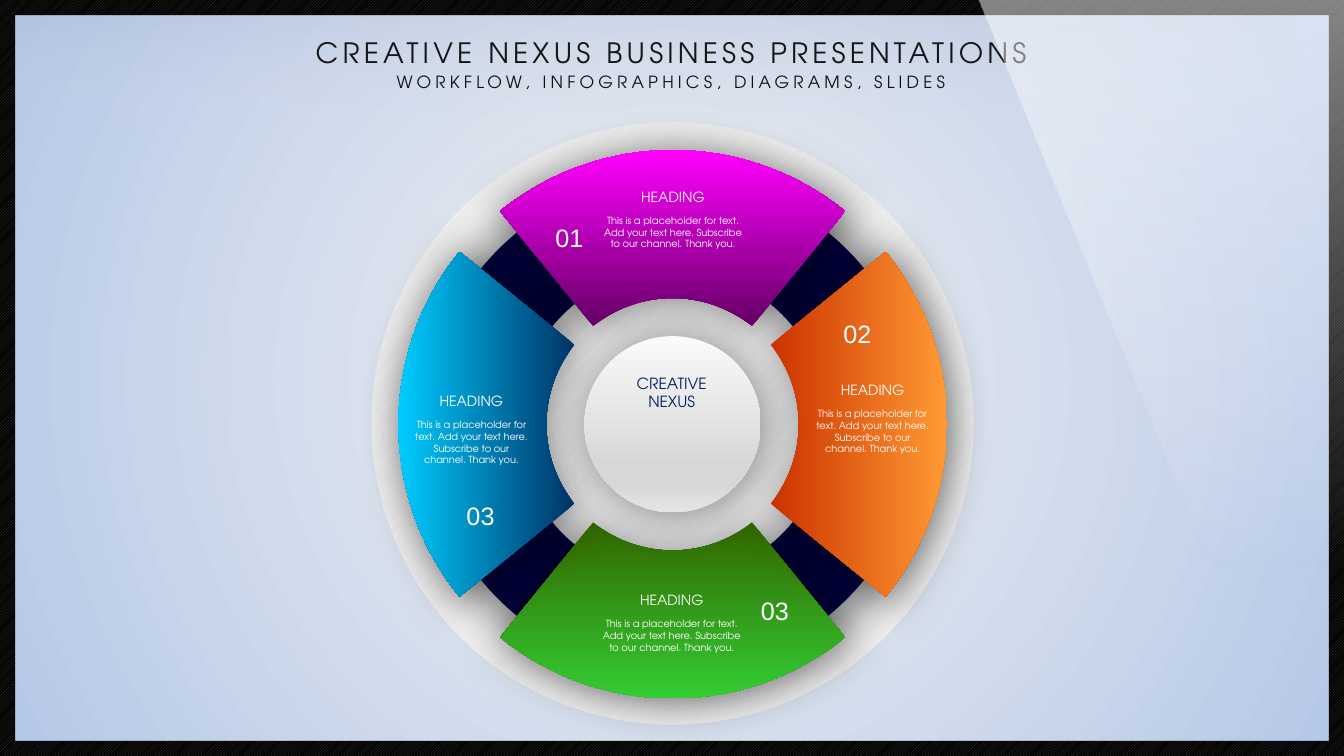
import math
from dataclasses import dataclass

from lxml import etree
from pptx import Presentation
from pptx import util as u
from pptx.dml.color import RGBColor
from pptx.enum import dml, shapes, text

NS = {"a": "http://schemas.openxmlformats.org/drawingml/2006/main"}


@dataclass(frozen=True)
class Theme:
    display: str = "TeX Gyre Adventor"
    numeral: str = "Arial"
    ink: str = "000000"
    white: str = "FFFFFF"
    hub_text: str = "002060"
    band: str = "00003A"
    disc: tuple = ("D9D9D9", "F2F2F2")
    frame: tuple = ("404040", "000000")
    backdrop: tuple = ((0, "F2F2F2", 100), (100, "B4C7E7", 100))
    hub: tuple = ((0, "FAFAFA", 100), (74, "D7D7D7", 100),
                  (83, "D7D7D7", 100), (100, "E4E4E4", 100))
    shade: tuple = ((0, "F2F2F2", 0), (100, "002060", 50))
    glass: tuple = ((0, "FFFFFF", 50), (76, "FFFFFF", 0))
    title_size: int = 20
    subtitle_size: int = 12
    number_size: int = 18
    hub_size: int = 11
    heading_size: int = 10
    body_size: int = 7


@dataclass(frozen=True)
class Box:
    left: float
    top: float
    width: float
    height: float

    def lengths(self):
        return [u.Cm(v) for v in (self.left, self.top, self.width, self.height)]

    def centre(self):
        return self.left + self.width / 2, self.top + self.height / 2


THEME = Theme()
BODY = "This is a placeholder for text. Add your text here. Subscribe to our channel. Thank you."
HALF_ANGLE = 39
DISC_RADIUS, WEDGE_RADIUS, BAND_RADIUS = 7.59, 6.91, 6.22
HOLE_RADIUS, HUB_RADIUS = 3.18, 2.22

# Direction, inner and outer colour, number and its offset, caption offset, caption width
WEDGES = [
    (270, "660066", "FF00FF", "01", (-2.6, -5.2), (0.01, -6.07), 4.19),
    (90, "336600", "33CC33", "03", (2.58, 4.18), (-0.02, 4.1), 4.19),
    (0, "CC3300", "FF9933", "02", (4.66, -2.79), (5.04, -1.2), 3.43),
    (180, "003366", "00CCFF", "03", (-4.84, 1.79), (-5.07, -0.92), 3.43),
]


# Drawing helpers
def gradient(fill, element, stops, angle=None):
    """Replace a solid fill with a linear gradient, or a round one without an angle."""
    fill.solid()
    solid = element.find(".//a:solidFill", NS)
    marks = "".join(
        f'<a:gs pos="{pos * 1000}"><a:srgbClr val="{colour}">'
        f'<a:alpha val="{alpha * 1000}"/></a:srgbClr></a:gs>'
        for pos, colour, alpha in stops)
    if angle is None:
        way = ('<a:path path="circle"><a:fillToRect l="50000" t="50000" '
               'r="50000" b="50000"/></a:path>')
    else:
        way = f'<a:lin ang="{angle * 60000}" scaled="0"/>'
    solid.getparent().replace(solid, etree.fromstring(
        f'<a:gradFill xmlns:a="{NS["a"]}" rotWithShape="1">'
        f'<a:gsLst>{marks}</a:gsLst>{way}</a:gradFill>'))


def pattern(shape, kind, colours):
    shape.fill.patterned()
    shape.fill.pattern = kind
    shape.fill.fore_color.rgb, shape.fill.back_color.rgb = map(RGBColor.from_string, colours)


def plain(shape):
    shape.shadow.inherit = False
    shape.line.fill.background()
    return shape


def cast_shadow(shape):
    effects = shape.element.spPr.find("a:effectLst", NS)
    effects.append(etree.fromstring(
        f'<a:outerShdw xmlns:a="{NS["a"]}" blurRad="{u.Pt(30)}" dist="{u.Pt(3)}" '
        f'dir="{45 * 60000}" sx="104000" sy="104000" algn="ctr" rotWithShape="0">'
        '<a:srgbClr val="000000"><a:alpha val="40000"/></a:srgbClr></a:outerShdw>'))


def outline(parent, points):
    corners = [(u.Cm(x), u.Cm(y)) for x, y in points]
    builder = parent.build_freeform(*corners[0], scale=1.0)
    builder.add_line_segments(corners[1:], close=True)
    return plain(builder.convert_to_shape())


def circle(parent, kind, centre, radius):
    box = Box(centre[0] - radius, centre[1] - radius, 2 * radius, 2 * radius)
    return plain(parent.add_shape(kind, *box.lengths()))


def label(parent, box, lines, size, colour, font=THEME.display, spacing=0):
    holder = parent.add_textbox(*box.lengths())
    frame = holder.text_frame
    frame.word_wrap = True
    frame.auto_size = text.MSO_AUTO_SIZE.SHAPE_TO_FIT_TEXT
    for index, line in enumerate(lines):
        para = frame.add_paragraph() if index else frame.paragraphs[0]
        para.alignment = text.PP_ALIGN.CENTER
        span = para.add_run()
        span.text = line
        span.font.size = u.Pt(size)
        span.font.name = font
        span.font.color.rgb = RGBColor.from_string(colour)
        if spacing:
            span.font._element.set("spc", str(spacing * 100))


# Regions
def add_wedge(parent, centre, direction, inner, outer):
    first, last = direction - HALF_ANGLE, direction + HALF_ANGLE
    nodes = [(WEDGE_RADIUS, a) for a in (first, direction, last)]
    nodes += [(HOLE_RADIUS, a) for a in (last, direction, first)]

    def place(radius, angle, pull=0):
        """Point on an arc, moved along its tangent by pull times the radius."""
        turn = math.radians(angle)
        return (centre[0] + radius * (math.cos(turn) - pull * math.sin(turn)),
                centre[1] + radius * (math.sin(turn) + pull * math.cos(turn)))

    wedge = outline(parent, [place(*node) for node in nodes])

    # Bend the edges that keep their radius into arcs
    edges = wedge.element.findall(".//a:lnTo", NS)
    for edge, start, end in zip(edges, nodes, nodes[1:]):
        if start[0] != end[0]:
            continue
        pull = 4 / 3 * math.tan(math.radians(end[1] - start[1]) / 4)
        curve = etree.Element(f'{{{NS["a"]}}}cubicBezTo')
        for x, y in (place(*start, pull), place(*end, -pull), place(*end)):
            etree.SubElement(curve, f'{{{NS["a"]}}}pt', x=str(u.Cm(x) - wedge.left),
                             y=str(u.Cm(y) - wedge.top))
        edge.getparent().replace(edge, curve)
    gradient(wedge.fill, wedge.element, [(0, inner, 100), (100, outer, 100)], direction)
    cast_shadow(wedge)


def add_wheel(page, box):
    wheel = page.shapes.add_group_shape().shapes
    centre = box.centre()
    x, y = centre

    # Disc and dark band
    disc = circle(wheel, shapes.MSO_SHAPE.OVAL, (x, y - 0.02), DISC_RADIUS)
    pattern(disc, dml.MSO_PATTERN.DARK_UPWARD_DIAGONAL, THEME.disc)
    band = circle(wheel, shapes.MSO_SHAPE.DONUT, centre, BAND_RADIUS)
    band.adjustments[0] = 0.186
    band.fill.solid()
    band.fill.fore_color.rgb = RGBColor.from_string(THEME.band)
    cast_shadow(band)

    # Wedges and hub
    for direction, inner, outer, *_ in WEDGES:
        add_wedge(wheel, centre, direction, inner, outer)
    hub = circle(wheel, shapes.MSO_SHAPE.OVAL, centre, HUB_RADIUS)
    gradient(hub.fill, hub.element, THEME.hub, 90)
    cast_shadow(hub)

    # Captions and numbers
    for *_, number, (nx, ny), (cx, cy), width in WEDGES:
        left, top = x + cx - width / 2, y + cy
        label(wheel, Box(left + 0.3, top, width - 0.6, 0.68), ["HEADING"],
              THEME.heading_size, THEME.white)
        label(wheel, Box(left, top + 0.66, width, 1.14), [BODY],
              THEME.body_size, THEME.white)
        label(wheel, Box(x + nx - 1.38, y + ny, 2.76, 1.03), [number],
              THEME.number_size, THEME.white, THEME.numeral)
    label(wheel, Box(x - 1.27, y - 1.39, 2.5, 1.19), ["CREATIVE", "NEXUS"],
          THEME.hub_size, THEME.hub_text)


def add_titles(page, box):
    label(page.shapes, Box(box.left, box.top, box.width, 1.12),
          ["CREATIVE NEXUS BUSINESS PRESENTATIONS"], THEME.title_size, THEME.ink, spacing=3)
    label(page.shapes, Box(box.left, box.top + 0.92, box.width, 0.76),
          ["WORKFLOW, INFOGRAPHICS, DIAGRAMS, SLIDES"], THEME.subtitle_size, THEME.ink, spacing=3)


def add_shade(page, box):
    shade = plain(page.shapes.add_shape(shapes.MSO_SHAPE.RECTANGLE, *box.lengths()))
    gradient(shade.fill, shade.element, THEME.shade, 270)


def add_frame(page, box):
    border = plain(page.shapes.add_shape(shapes.MSO_SHAPE.FRAME, *box.lengths()))
    border.adjustments[0] = 0.02
    pattern(border, dml.MSO_PATTERN.LIGHT_UPWARD_DIAGONAL, THEME.frame)


def add_glass(page, box):
    right, bottom = box.left + box.width, box.top + box.height
    glass = outline(page.shapes, [(box.left, box.top), (right, box.top),
                                  (right, bottom), (right - 1.56, bottom)])
    gradient(glass.fill, glass.element, THEME.glass, 90)


def main():
    deck = Presentation()
    deck.slide_width, deck.slide_height = u.Cm(33.87), u.Cm(19.05)
    page = deck.slides.add_slide(deck.slide_layouts[6])
    gradient(page.background.fill, page.element, THEME.backdrop)
    add_wheel(page, Box(9.35, 3.09, 15.2, 15.2))
    add_titles(page, Box(7.05, 0.76, 19.74, 1.68))
    add_shade(page, Box(-1.19, -6.76, 33.87, 10.59))
    add_frame(page, Box(0, 0, 33.87, 19.05))
    add_glass(page, Box(24.66, 0, 9.21, 18.69))
    deck.save("out.pptx")


if __name__ == "__main__":
    main()
